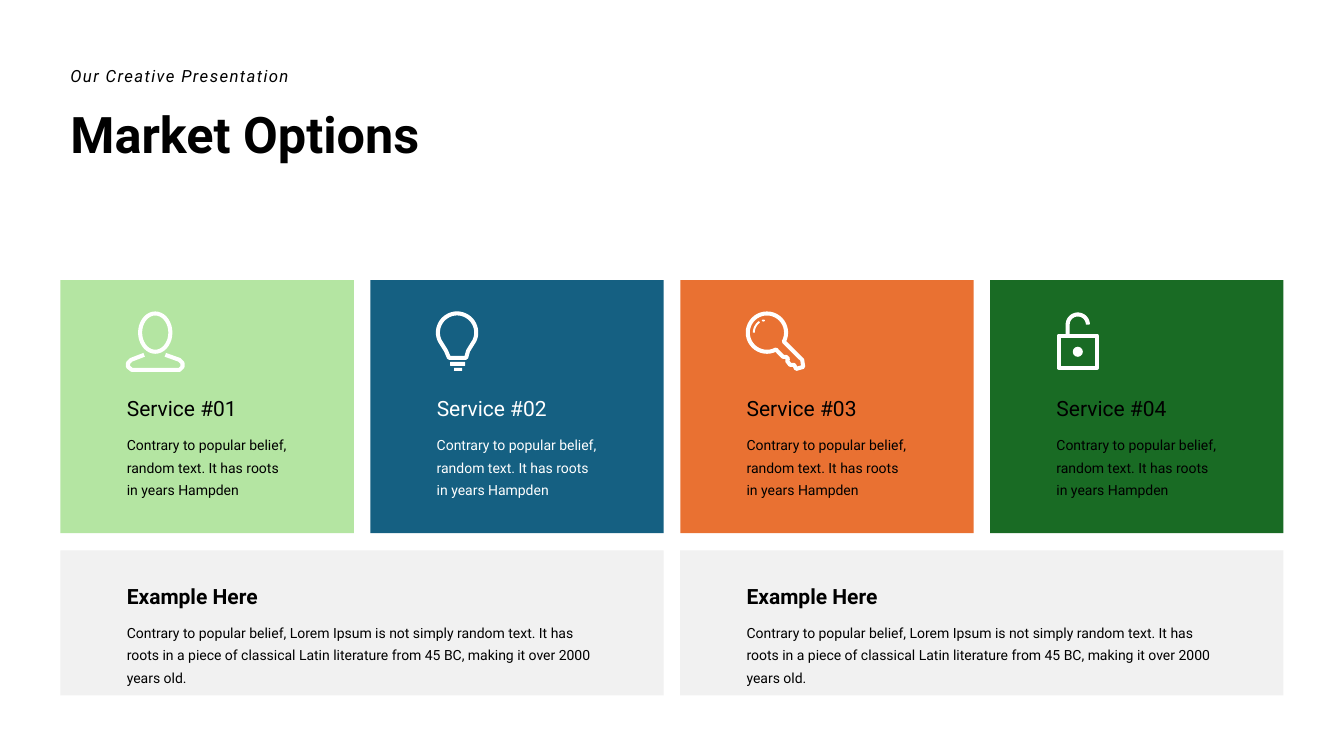
from math import cos, radians, sin

from pptx import Presentation
from pptx.dml.color import RGBColor
from pptx.enum.shapes import MSO_SHAPE
from pptx.util import Inches, Pt

WHITE, BLACK, GREY = "FFFFFF", "000000", "F1F1F1"
CARD_WIDTH, CARD_TOP, CARD_HEIGHT = 2.91, 2.78, 2.51
LEFT, TOTAL_WIDTH = 0.6, 12.13
GAP = (TOTAL_WIDTH - 4 * CARD_WIDTH) / 3
PITCH = CARD_WIDTH + GAP
TEXT_INDENT, ICON_INDENT, ICON_TOP = 0.56, 0.65, 3.1

deck = Presentation()
deck.slide_width, deck.slide_height = Inches(13.33), Inches(7.5)
page = deck.slides.add_slide(deck.slide_layouts[6])


def add_filled(kind, left, top, width, height, color):
    shape = page.shapes.add_shape(
        kind, Inches(left), Inches(top), Inches(width), Inches(height))
    shape.shadow.inherit = False
    shape.fill.solid()
    shape.fill.fore_color.rgb = RGBColor.from_string(color)
    shape.line.fill.background()


def arc(x, y, rx, ry, start, end):
    """Points along an ellipse, in degrees clockwise from the right."""
    steps = 36
    angles = [radians(start + (end - start) * i / steps) for i in range(steps + 1)]
    return [(x + rx * cos(a), y + ry * sin(a)) for a in angles]


# Each text: words, left, top, width, height, size, colour, bold
texts = [("Market Options", LEFT, 0.97, 4.71, 0.71, 36, BLACK, True),
         ("Our Creative Presentation", LEFT, 0.6, 2.99, 0.3, 12, BLACK, False)]

cards = [("B4E5A2", BLACK), ("156082", WHITE), ("E97132", BLACK), ("196B24", BLACK)]
for index, (fill, ink) in enumerate(cards):
    left = LEFT + index * PITCH
    add_filled(MSO_SHAPE.RECTANGLE, left, CARD_TOP, CARD_WIDTH, CARD_HEIGHT, fill)
    texts += [
        (f"Service #0{index + 1}", left + TEXT_INDENT, 3.87, 1.82, 0.35, 15, ink, False),
        ("Contrary to popular belief, random text. It has roots in years Hampden",
         left + TEXT_INDENT, 4.23, 1.8, 0.76, 10, ink, False)]

for index in range(2):
    left = LEFT + index * 2 * PITCH
    add_filled(MSO_SHAPE.RECTANGLE, left, 5.46, 2 * CARD_WIDTH + GAP, 1.44, GREY)
    texts += [
        ("Example Here", left + TEXT_INDENT, 5.74, 2.5, 0.35, 15, BLACK, True),
        ("Contrary to popular belief, Lorem Ipsum is not simply random text. It has "
         "roots in a piece of classical Latin literature from 45 BC, making it over "
         "2000 years old.", left + TEXT_INDENT, 6.09, 4.87, 0.76, 10, BLACK, False)]

for words, left, top, width, height, size, color, bold in texts:
    box = page.shapes.add_textbox(
        Inches(left), Inches(top), Inches(width), Inches(height))
    box.text_frame.word_wrap = True
    box.text_frame.text = words
    para = box.text_frame.paragraphs[0]
    span = para.runs[0]
    span.font.name, span.font.size, span.font.bold = "Roboto", Pt(size), bold
    span.font.color.rgb = RGBColor.from_string(color)
    if size == 10:
        para.line_spacing = Pt(16)
    if size == 12:
        span.font.italic = True
        span._r.get_or_add_rPr().set("spc", "100")

# Icon outlines: card number, line width, closed, points from the icon's corner
head = arc(0.29, 0.2, 0.15, 0.19, 0, 360)
shoulders = [(0.39, 0.42), (0.53, 0.47), (0.56, 0.5), (0.56, 0.54), (0.53, 0.57),
             (0.06, 0.57), (0.02, 0.54), (0.02, 0.5), (0.05, 0.47), (0.18, 0.42)]
bulb = arc(0.21, 0.2, 0.19, 0.19, 155, 385) + [
    (0.32, 0.38), (0.3, 0.45), (0.13, 0.45), (0.1, 0.38)]
key = arc(0.21, 0.2, 0.19, 0.19, 62, 388) + [
    (0.56, 0.47), (0.57, 0.54), (0.5, 0.56), (0.48, 0.52), (0.44, 0.52),
    (0.41, 0.48), (0.42, 0.46), (0.4, 0.44), (0.37, 0.44)]
shine = arc(0.21, 0.2, 0.13, 0.13, 180, 235)
lock_body = [(0.03, 0.23), (0.41, 0.23), (0.41, 0.55), (0.03, 0.55)]
shackle = [(0.12, 0.23)] + arc(0.22, 0.12, 0.1, 0.1, 180, 360)

strokes = [(0, 2.9, True, head), (0, 2.9, False, shoulders), (1, 2.9, True, bulb),
           (2, 2.9, True, key), (2, 1.4, False, shine),
           (3, 2.9, True, lock_body), (3, 2.9, False, shackle)]
for card, width, closed, points in strokes:
    left = LEFT + card * PITCH + ICON_INDENT
    corners = [(Inches(left + x), Inches(ICON_TOP + y)) for x, y in points]
    builder = page.shapes.build_freeform(*corners[0])
    builder.add_line_segments(corners[1:], close=closed)
    outline = builder.convert_to_shape()
    outline.shadow.inherit = False
    outline.fill.background()
    outline.line.color.rgb = RGBColor.from_string(WHITE)
    outline.line.width = Pt(width)

solid_parts = [(1, MSO_SHAPE.ROUNDED_RECTANGLE, 0.14, 0.49, 0.15, 0.04),
               (1, MSO_SHAPE.ROUNDED_RECTANGLE, 0.18, 0.55, 0.08, 0.03),
               (2, MSO_SHAPE.OVAL, 0.16, 0.07, 0.03, 0.02),
               (3, MSO_SHAPE.OVAL, 0.17, 0.34, 0.1, 0.1)]
for card, kind, x, y, width, height in solid_parts:
    left = LEFT + card * PITCH + ICON_INDENT
    add_filled(kind, left + x, ICON_TOP + y, width, height, WHITE)

deck.save("out.pptx")
